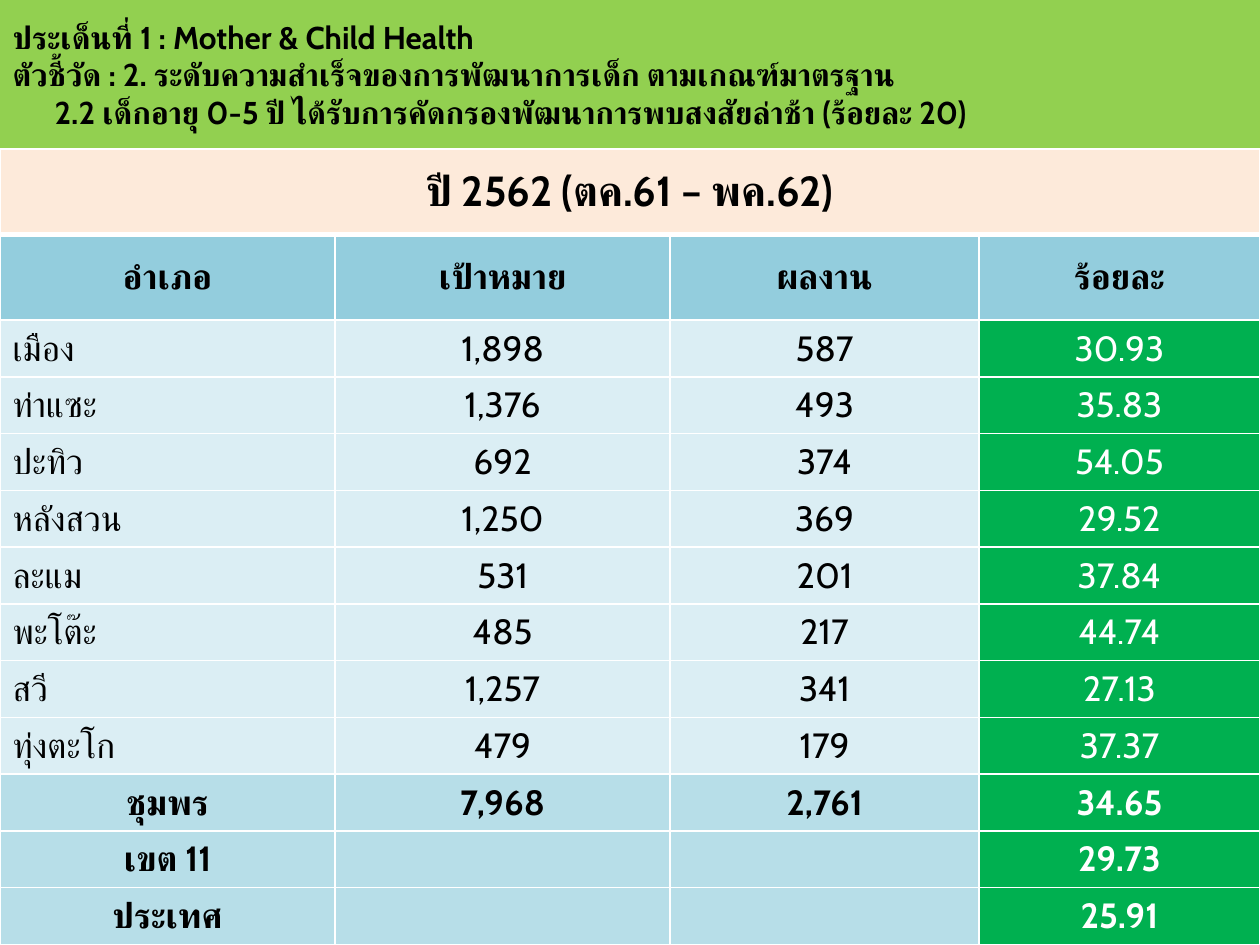
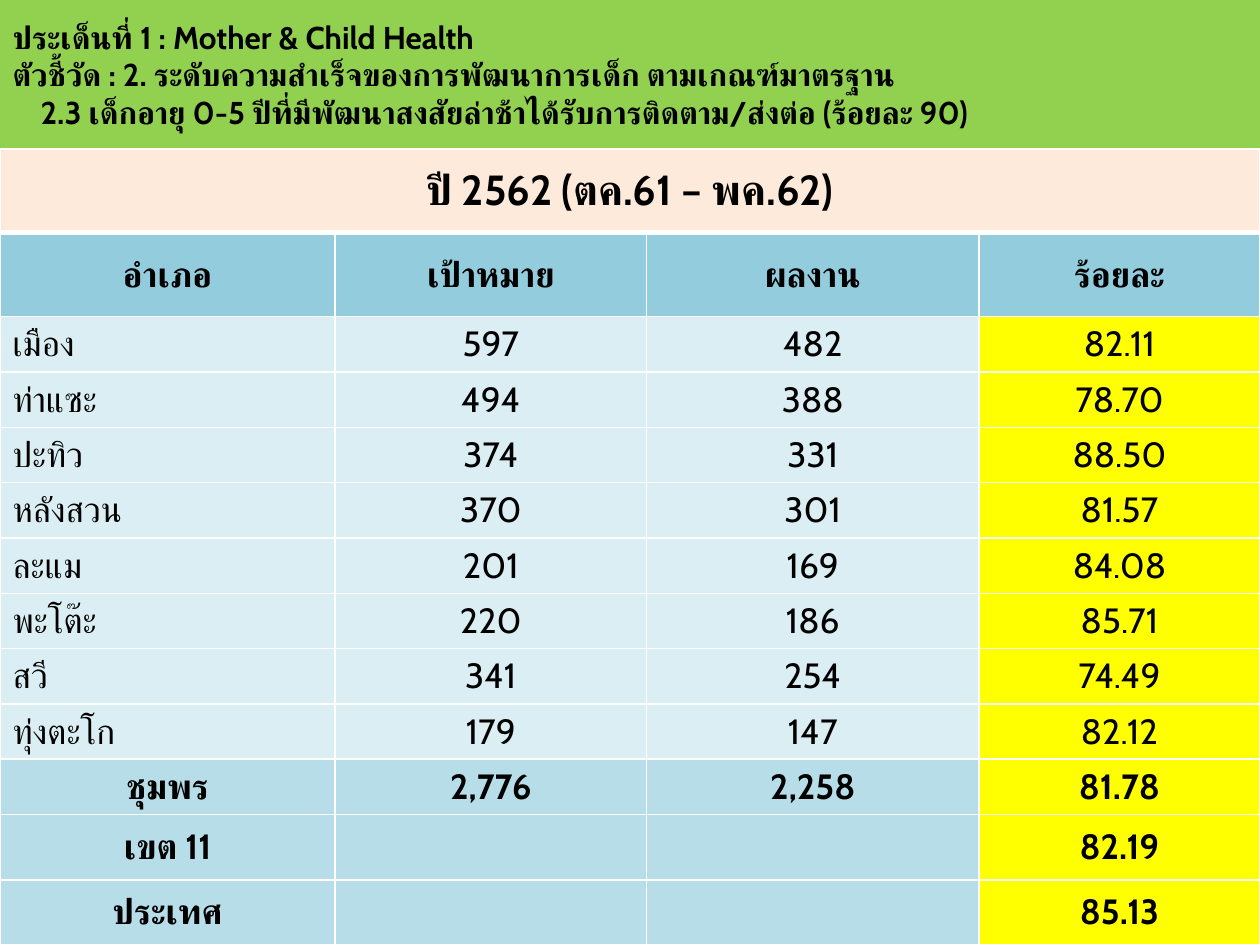
from dataclasses import dataclass

from lxml.etree import SubElement
from pptx import Presentation
from pptx.dml.color import RGBColor
from pptx.enum.text import MSO_ANCHOR, MSO_AUTO_SIZE, PP_ALIGN
from pptx.oxml import parse_xml
from pptx.oxml.ns import nsdecls, qn
from pptx.util import Pt


@dataclass(frozen=True)
class Theme:
    font: str = "Cabin"
    black: str = "000000"
    white: str = "FFFFFF"
    band: str = "92D050"
    period: str = "FDEADA"
    heading: str = "93CDDD"
    district: str = "DBEEF4"
    summary: str = "B7DEE8"
    reached: str = "00B050"
    near: str = "FFFF00"
    title_size: int = 18
    period_size: int = 24
    table_size: int = 20
    line: int = 1
    thick_line: int = 3


THEME = Theme()
PAGE_WIDTH, PAGE_HEIGHT, BAND_HEIGHT = 720, 540, 85
TITLE_LINES = (
    "ประเด็นที่ 1 : Mother & Child Health",
    "ตัวชี้วัด : 2. ระดับความสำเร็จของการพัฒนาการเด็ก ตามเกณฑ์มาตรฐาน",
)
PERIOD = "ปี 2562 (ตค.61 – พค.62)"
HEADINGS = ("อำเภอ", "เป้าหมาย", "ผลงาน", "ร้อยละ")
DISTRICTS = ("เมือง", "ท่าแซะ", "ปะทิว", "หลังสวน", "ละแม", "พะโต๊ะ", "สวี", "ทุ่งตะโก")
SUMMARIES = ("ชุมพร", "เขต 11", "ประเทศ")


@dataclass(frozen=True)
class Indicator:
    name: str
    indent: float
    column_widths: tuple[float, ...]
    row_heights: tuple[float, ...]
    results: tuple[tuple[str, str, str], ...]
    rate_fill: str
    rate_color: str


INDICATORS = (
    Indicator(
        "2.2 เด็กอายุ 0-5 ปี ได้รับการคัดกรองพัฒนาการพบสงสัยล่าช้า (ร้อยละ 20)",
        24,
        (191.5, 191.5, 176.5, 160.5),
        (49,) * 2 + (32.45,) * 11,
        (
            ("1,898", "587", "30.93"),
            ("1,376", "493", "35.83"),
            ("692", "374", "54.05"),
            ("1,250", "369", "29.52"),
            ("531", "201", "37.84"),
            ("485", "217", "44.74"),
            ("1,257", "341", "27.13"),
            ("479", "179", "37.37"),
            ("7,968", "2,761", "34.65"),
            ("", "", "29.73"),
            ("", "", "25.91"),
        ),
        THEME.reached,
        THEME.white,
    ),
    Indicator(
        "2.3 เด็กอายุ 0-5 ปีที่มีพัฒนาสงสัยล่าช้าได้รับการติดตาม/ส่งต่อ (ร้อยละ 90)",
        16,
        (191.5, 178, 190, 160.5),
        (48,) * 2 + (31.6,) * 9 + (37.3,) * 2,
        (
            ("597", "482", "82.11"),
            ("494", "388", "78.70"),
            ("374", "331", "88.50"),
            ("370", "301", "81.57"),
            ("201", "169", "84.08"),
            ("220", "186", "85.71"),
            ("341", "254", "74.49"),
            ("179", "147", "82.12"),
            ("2,776", "2,258", "81.78"),
            ("", "", "82.19"),
            ("", "", "85.13"),
        ),
        THEME.near,
        THEME.black,
    ),
)


def style_paragraph(para, size: int, bold: bool, color: str, align) -> None:
    para.alignment = align
    para.font.name = THEME.font
    para.font.size = Pt(size)
    para.font.bold = bold
    para.font.color.rgb = RGBColor.from_string(color)
    defaults = para._p.pPr.find(qn("a:defRPr"))
    SubElement(defaults, qn("a:cs"), typeface=THEME.font)


def add_shadow(shape) -> None:
    shape._element.spPr.append(parse_xml(
        f'<a:effectLst {nsdecls("a")}>'
        f'<a:outerShdw blurRad="{Pt(3.5)}" dist="{Pt(2.2)}" dir="5400000" rotWithShape="0">'
        f'<a:srgbClr val="{THEME.black}"><a:alpha val="32000"/></a:srgbClr>'
        '</a:outerShdw></a:effectLst>'
    ))


def fill_title(page, indicator: Indicator) -> None:
    title = page.shapes.title
    title.left, title.top = Pt(0), Pt(0)
    title.width, title.height = Pt(PAGE_WIDTH), Pt(BAND_HEIGHT)
    title.fill.solid()
    title.fill.fore_color.rgb = RGBColor.from_string(THEME.band)
    add_shadow(title)
    frame = title.text_frame
    frame.text = "\n".join((*TITLE_LINES, indicator.name))
    frame.auto_size = MSO_AUTO_SIZE.NONE
    frame.word_wrap = True
    frame.vertical_anchor = MSO_ANCHOR.MIDDLE
    for para in frame.paragraphs:
        style_paragraph(para, THEME.title_size, True, THEME.black, PP_ALIGN.LEFT)
    frame.paragraphs[-1]._p.pPr.set("marL", str(Pt(indicator.indent)))


def draw_borders(cell, row: int) -> None:
    """Rule all four sides in white, thicker below the period row."""
    widths = {
        "lnL": THEME.line,
        "lnR": THEME.line,
        "lnT": THEME.thick_line if row == 1 else THEME.line,
        "lnB": THEME.thick_line if row == 0 else THEME.line,
    }
    properties = cell._tc.get_or_add_tcPr()
    for position, (side, width) in enumerate(widths.items()):
        properties.insert(position, parse_xml(
            f'<a:{side} {nsdecls("a")} w="{Pt(width)}"><a:solidFill>'
            f'<a:srgbClr val="{THEME.white}"/></a:solidFill></a:{side}>'
        ))


def fill_cell(cell, row: int, column: int, text: str, indicator: Indicator) -> None:
    first_summary = 2 + len(DISTRICTS)
    is_district = 2 <= row < first_summary
    is_rate = row >= 2 and column == len(HEADINGS) - 1
    if is_rate:
        fill = indicator.rate_fill
    elif row < 2:
        fill = (THEME.period, THEME.heading)[row]
    else:
        fill = THEME.district if is_district else THEME.summary
    cell.fill.solid()
    cell.fill.fore_color.rgb = RGBColor.from_string(fill)
    draw_borders(cell, row)
    cell.vertical_anchor = MSO_ANCHOR.MIDDLE
    cell.text = text
    style_paragraph(
        cell.text_frame.paragraphs[0],
        THEME.period_size if row == 0 else THEME.table_size,
        not is_district,
        indicator.rate_color if is_rate else THEME.black,
        PP_ALIGN.LEFT if is_district and column == 0 else PP_ALIGN.CENTER,
    )


def add_results_table(page, indicator: Indicator) -> None:
    places = DISTRICTS + SUMMARIES
    rows = [(PERIOD, "", "", ""), HEADINGS]
    rows += [(place, *result) for place, result in zip(places, indicator.results)]
    table = page.shapes.add_table(
        len(rows), len(HEADINGS), Pt(0), Pt(BAND_HEIGHT),
        Pt(PAGE_WIDTH), Pt(PAGE_HEIGHT - BAND_HEIGHT),
    ).table
    table.first_row = table.horz_banding = False
    for column, width in zip(table.columns, indicator.column_widths):
        column.width = Pt(width)
    for table_row, height in zip(table.rows, indicator.row_heights):
        table_row.height = Pt(height)
    for row, texts in enumerate(rows):
        for column, text in enumerate(texts):
            fill_cell(table.cell(row, column), row, column, text, indicator)
    table.cell(0, 0).merge(table.cell(0, len(HEADINGS) - 1))


def main() -> None:
    deck = Presentation()
    deck.slide_width, deck.slide_height = Pt(PAGE_WIDTH), Pt(PAGE_HEIGHT)
    title_only = deck.slide_layouts.get_by_name("Title Only")
    for indicator in INDICATORS:
        page = deck.slides.add_slide(title_only)
        fill_title(page, indicator)
        add_results_table(page, indicator)
    deck.save("out.pptx")


if __name__ == "__main__":
    main()
